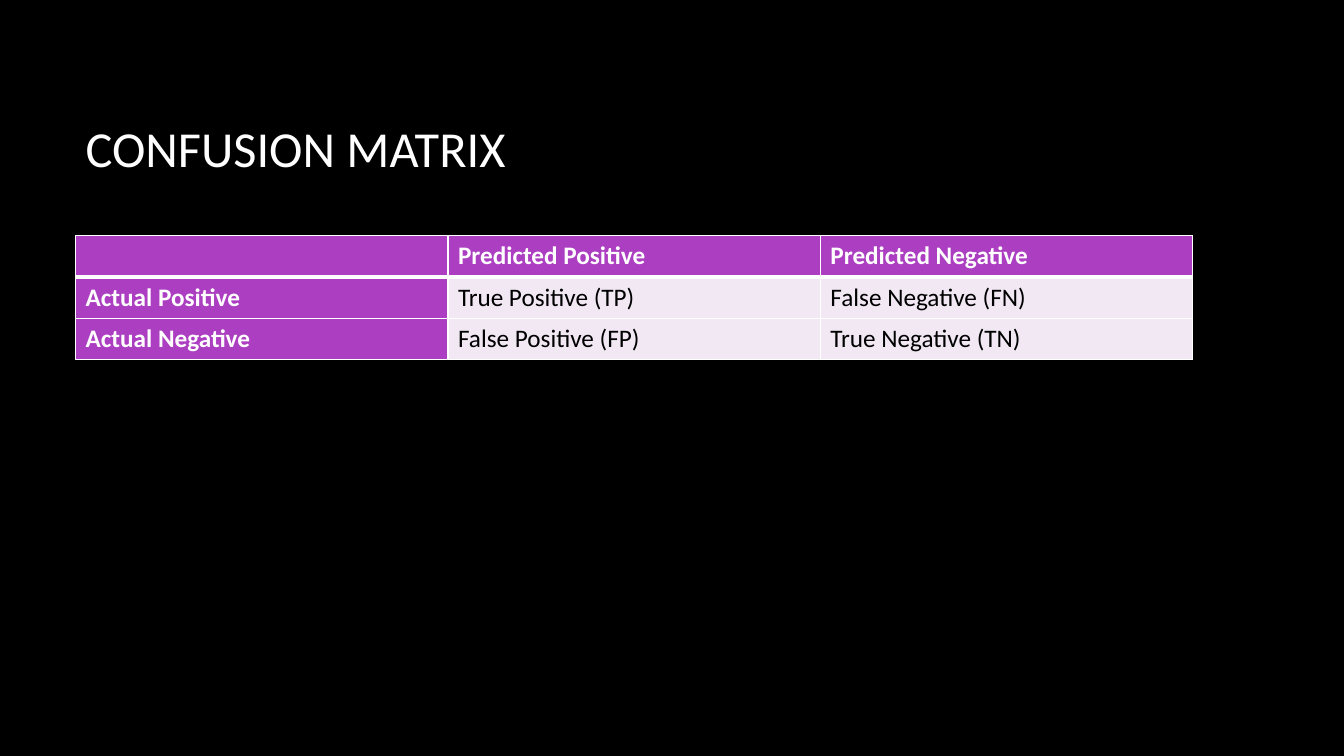
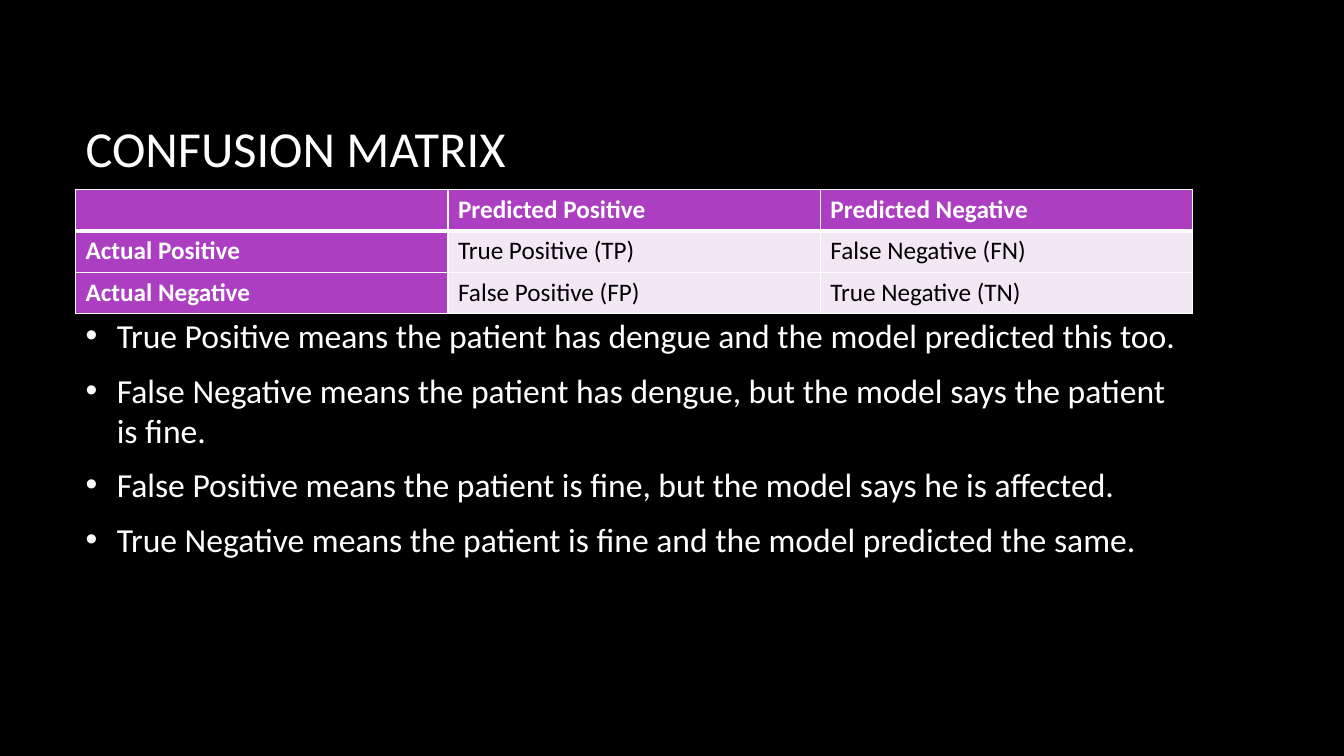
from dataclasses import dataclass

from lxml import etree
from pptx import Presentation
from pptx.dml.color import RGBColor
from pptx.enum.text import MSO_ANCHOR, PP_ALIGN
from pptx.oxml.ns import qn
from pptx.util import Inches, Pt

LEFT = PP_ALIGN.LEFT
MIDDLE = MSO_ANCHOR.MIDDLE
TITLE_ONLY = 5


@dataclass(frozen=True)
class Theme:
    font: str = "Calibri"
    background: str = "000000"
    light_text: str = "FFFFFF"
    dark_text: str = "000000"
    header_fill: str = "AC3EC1"
    value_fill: str = "F1E8F4"
    border: str = "FFFFFF"
    title_size: int = 36
    body_size: int = 24
    table_size: int = 18
    border_width: int = 1
    header_rule: int = 3


THEME = Theme()

# Shared layout, in inches
MARGIN, CONTENT_WIDTH = 0.75, 11.08
TITLE_TOP, TITLE_HEIGHT = 0.67, 1.59
BODY_TOP, BODY_HEIGHT = 2.34, 3.99
RAISED_TABLE_TOP = 1.88
ROW_HEIGHT = 0.41
BULLET_INDENT = 0.31

# Content
TITLE = "CONFUSION MATRIX"
MATRIX = [
    ["", "Predicted Positive", "Predicted Negative"],
    ["Actual Positive", "True Positive (TP)", "False Negative (FN)"],
    ["Actual Negative", "False Positive (FP)", "True Negative (TN)"],
]
MEANINGS = [
    "True Positive means the patient has dengue and the model predicted this too.",
    "False Negative means the patient has dengue, but the model says the patient is fine.",
    "False Positive means the patient is fine, but the model says he is affected.",
    "True Negative means the patient is fine and the model predicted the same.",
]


def format_runs(paragraph, size, color, bold=False):
    paragraph.alignment = LEFT
    for run in paragraph.runs:
        run.font.name = THEME.font
        run.font.size = Pt(size)
        run.font.bold = bold
        run.font.color.rgb = RGBColor.from_string(color)


def add_color(parent, tag, color):
    holder = etree.SubElement(parent, qn(tag))
    etree.SubElement(holder, qn("a:srgbClr"), val=color)


def add_titled_slide(prs):
    slide = prs.slides.add_slide(prs.slide_layouts[TITLE_ONLY])
    title = slide.shapes.title
    title.left, title.top = Inches(MARGIN), Inches(TITLE_TOP)
    title.width, title.height = Inches(CONTENT_WIDTH), Inches(TITLE_HEIGHT)
    title.text_frame.text = TITLE
    title.text_frame.vertical_anchor = MIDDLE
    format_runs(title.text_frame.paragraphs[0], THEME.title_size, THEME.light_text)
    return slide


def set_borders(cell, top, bottom):
    properties = cell._tc.get_or_add_tcPr()
    side = THEME.border_width
    for tag, width in (("a:lnL", side), ("a:lnR", side), ("a:lnT", top), ("a:lnB", bottom)):
        line = etree.SubElement(properties, qn(tag), w=str(Pt(width)))
        add_color(line, "a:solidFill", THEME.border)


def add_matrix(slide, top):
    rows, columns = len(MATRIX), len(MATRIX[0])
    table = slide.shapes.add_table(
        rows, columns, Inches(MARGIN), Inches(top),
        Inches(CONTENT_WIDTH), Inches(rows * ROW_HEIGHT)).table
    table.horz_banding = False
    for row_index, labels in enumerate(MATRIX):
        for column_index, label in enumerate(labels):
            cell = table.cell(row_index, column_index)
            is_header = row_index == 0 or column_index == 0
            # The heavy rule lies between the header row and the first data row
            set_borders(
                cell,
                top=THEME.header_rule if row_index == 1 else THEME.border_width,
                bottom=THEME.header_rule if row_index == 0 else THEME.border_width)
            cell.fill.solid()
            cell.fill.fore_color.rgb = RGBColor.from_string(
                THEME.header_fill if is_header else THEME.value_fill)
            cell.text_frame.text = label
            format_runs(cell.text_frame.paragraphs[0], THEME.table_size,
                        THEME.light_text if is_header else THEME.dark_text, is_header)


def add_bullets(slide, sentences):
    frame = slide.shapes.add_textbox(
        Inches(MARGIN), Inches(BODY_TOP),
        Inches(CONTENT_WIDTH), Inches(BODY_HEIGHT)).text_frame
    frame.word_wrap = True
    frame.vertical_anchor = MIDDLE
    frame.text = "\n".join(sentences)
    for paragraph in frame.paragraphs:
        format_runs(paragraph, THEME.body_size, THEME.light_text)
        paragraph.space_after = Pt(10)
        properties = paragraph._p.get_or_add_pPr()
        properties.set("marL", str(Inches(BULLET_INDENT)))
        properties.set("indent", str(-Inches(BULLET_INDENT)))
        add_color(properties, "a:buClr", THEME.light_text)
        etree.SubElement(properties, qn("a:buFont"), typeface="Arial")
        etree.SubElement(properties, qn("a:buChar"), char="•")


def main():
    prs = Presentation()
    prs.slide_width, prs.slide_height = Inches(13.33), Inches(7.5)
    background = prs.slide_master.background.fill
    background.solid()
    background.fore_color.rgb = RGBColor.from_string(THEME.background)

    # Matrix alone
    matrix_slide = add_titled_slide(prs)
    add_matrix(matrix_slide, BODY_TOP)

    # Matrix with the meaning of each outcome
    meaning_slide = add_titled_slide(prs)
    add_bullets(meaning_slide, MEANINGS)
    add_matrix(meaning_slide, RAISED_TABLE_TOP)

    prs.save("out.pptx")


if __name__ == "__main__":
    main()
